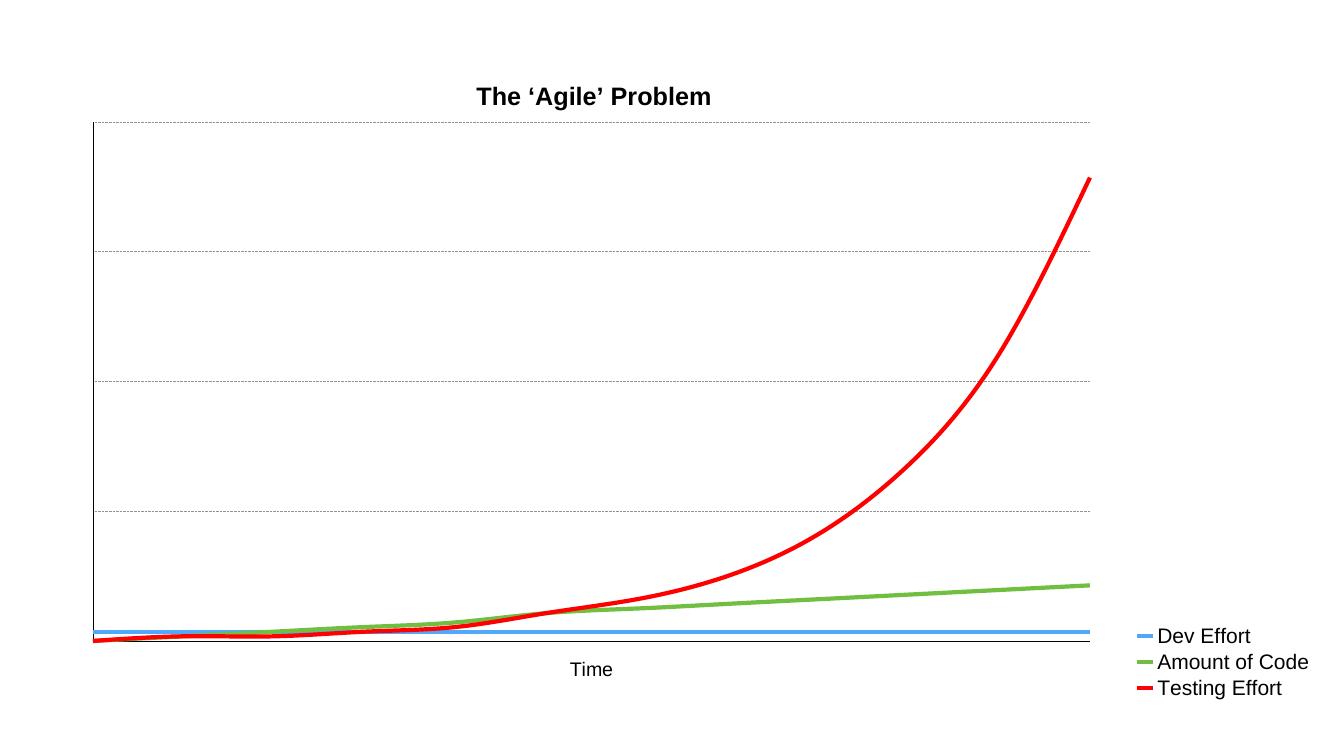
from lxml.etree import SubElement
from pptx import Presentation
from pptx.chart.data import CategoryChartData
from pptx.dml.color import RGBColor
from pptx.enum.chart import (
    XL_CHART_TYPE as ChartType,
    XL_LEGEND_POSITION as LegendPosition,
    XL_TICK_LABEL_POSITION as LabelPosition,
    XL_TICK_MARK as TickMark,
)
from pptx.enum.dml import MSO_LINE_DASH_STYLE as Dash
from pptx.oxml.ns import qn
from pptx.util import Pt

PX = 914400 / 50.4
CHART_X, CHART_Y, CHART_W, CHART_H = 79, 68, 1293, 634

FONT = "Arial"
BLACK = RGBColor(0x00, 0x00, 0x00)
GRID_GREY = RGBColor(0x92, 0x92, 0x92)
BLUE = RGBColor(0x51, 0xA8, 0xF9)
GREEN = RGBColor(0x70, 0xBF, 0x41)
RED = RGBColor(0xFF, 0x00, 0x00)

EFFORTS = [
    ("Dev Effort", BLUE, [2] * 12),
    ("Amount of Code", GREEN, [0, 1, 2, 3, 4, 6, 7, 8, 9, 10, 11, 12]),
    ("Testing Effort", RED, [0, 1, 1, 2, 3, 6, 9, 14, 23, 38, 62, 100]),
]


def write_title(title, text, size, bold=False):
    paragraph = title.text_frame.paragraphs[0]
    run = paragraph.add_run()
    run.text = text
    run.font.name = FONT
    run.font.size = Pt(size)
    run.font.bold = bold
    run.font.color.rgb = BLACK


def place(part, index, x, y, w=None, h=None, inner=False):
    """Fix a chart part at slide pixels, its layout being child number index."""
    for old in part.findall(qn("c:layout")):
        part.remove(old)
    layout = SubElement(part, qn("c:layout"))
    part.insert(index, layout)
    manual = SubElement(layout, qn("c:manualLayout"))
    if inner:
        SubElement(manual, qn("c:layoutTarget"), val="inner")
    for tag in ("xMode", "yMode"):
        SubElement(manual, qn(f"c:{tag}"), val="edge")
    shares = {"x": (x - CHART_X) / CHART_W, "y": (y - CHART_Y) / CHART_H}
    if w:
        shares.update(w=w / CHART_W, h=h / CHART_H)
    for tag, share in shares.items():
        SubElement(manual, qn(f"c:{tag}"), val=f"{share:.4f}")


prs = Presentation()
prs.slide_width = round(1344 * PX)
prs.slide_height = round(756 * PX)
slide = prs.slides.add_slide(prs.slide_layouts[6])

# Chart
effort_data = CategoryChartData()
effort_data.categories = [str(period) for period in range(1, 13)]
for name, _, values in EFFORTS:
    effort_data.add_series(name, values)
bounds = [round(length * PX) for length in (CHART_X, CHART_Y, CHART_W, CHART_H)]
chart = slide.shapes.add_chart(ChartType.LINE, *bounds, effort_data).chart
chart.font.name = FONT
chart.font.size = Pt(28)
chart.font.color.rgb = BLACK
place(chart.plots[0]._element.getparent(), 0, 93, 122, 997, 519, inner=True)

# Curves
chart.plots[0].vary_by_categories = False
for curve, (_, colour, _) in zip(chart.plots[0].series, EFFORTS):
    curve.smooth = True
    curve.format.line.color.rgb = colour
    curve.format.line.width = Pt(6)

# Axes
time_axis, effort_axis = chart.category_axis, chart.value_axis
for axis in (time_axis, effort_axis):
    axis.tick_label_position = LabelPosition.NONE
    axis.major_tick_mark = TickMark.NONE
    axis.minor_tick_mark = TickMark.NONE
    axis.format.line.color.rgb = BLACK
    axis.format.line.width = Pt(1)
write_title(time_axis.axis_title, "Time", size=28)

effort_axis.minimum_scale = 0
effort_axis.maximum_scale = 112
effort_axis.major_unit = 28
effort_axis.has_major_gridlines = True
gridline = effort_axis.major_gridlines.format.line
gridline.color.rgb = GRID_GREY
gridline.width = Pt(1)
gridline.dash_style = Dash.ROUND_DOT

# Curves start on the effort axis itself
scale = effort_axis._element
crossing = SubElement(scale, qn("c:crossBetween"), val="midCat")
scale.find(qn("c:majorUnit")).addprevious(crossing)

# Title
chart.has_title = True
write_title(chart.chart_title, "The ‘Agile’ Problem", size=36, bold=True)
heading = chart.chart_title._element
place(heading, 1, 472, 75)
heading.find(qn("c:overlay")).set("val", "1")

# Legend
chart.has_legend = True
legend = chart.legend
legend.position = LegendPosition.RIGHT
legend.include_in_layout = True
legend.font.name = FONT
legend.font.size = Pt(30)
legend.font.color.rgb = BLACK
place(legend._element, 1, 1133, 622, 180, 80)

prs.save("out.pptx")
